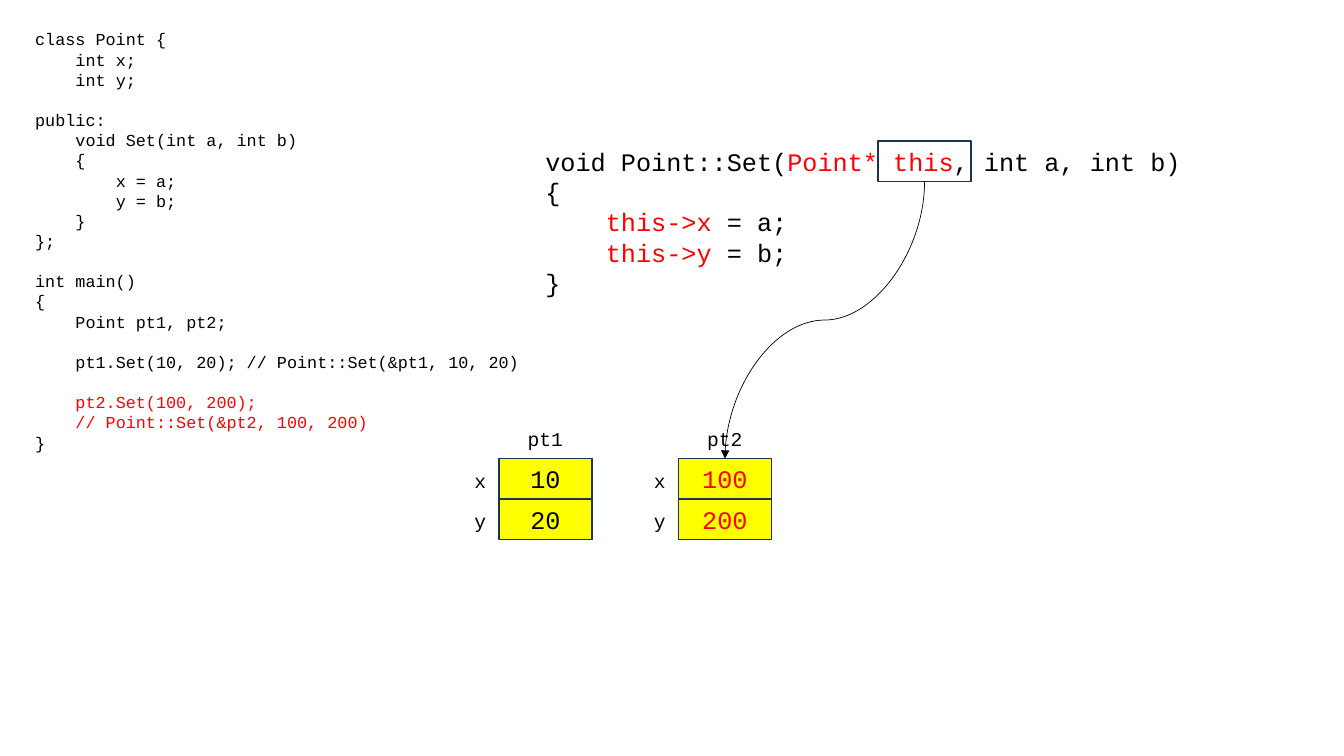
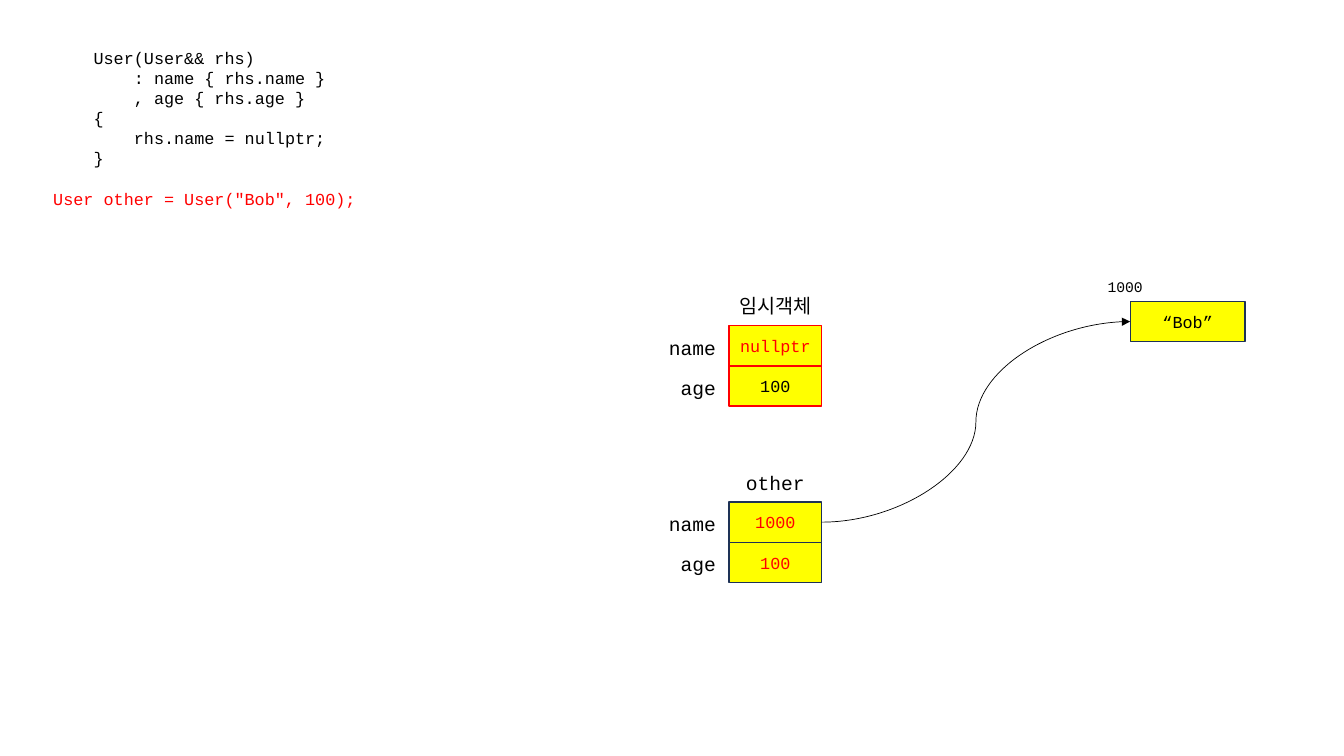
from dataclasses import dataclass

from lxml.etree import SubElement as add_sub
from pptx import Presentation
from pptx.dml.color import RGBColor
from pptx.enum.shapes import MSO_CONNECTOR as Link, MSO_SHAPE as Form
from pptx.enum.text import MSO_ANCHOR as Anchor, PP_ALIGN as Align
from pptx.oxml.ns import qn
from pptx.shapes.autoshape import Shape
from pptx.slide import Slide
from pptx.util import Inches, Pt

BLACK = RGBColor(0x00, 0x00, 0x00)
RED = RGBColor(0xFF, 0x00, 0x00)
YELLOW = RGBColor(0xFF, 0xFF, 0x00)
NAVY = RGBColor(0x1E, 0x32, 0x56)

FONT = "Courier New"
LEADING = 1.2
TAB_CHARS = 4
CHAR_RATIO = 0.6
CELL_W, CELL_H = 0.92, 0.4
LABEL_W, LABEL_H = 0.82, 0.34
TITLE_W = 1.1


@dataclass(frozen=True)
class Line:
    text: str
    depth: int = 0
    color: RGBColor = BLACK
    gap: bool = False
    red: str = ""
    tail: str = ""


@dataclass(frozen=True)
class Field:
    name: str
    value: str
    color: RGBColor = BLACK


@dataclass(frozen=True)
class Record:
    title: str
    left: float
    top: float
    fields: tuple[Field, ...]
    size: float
    edge: RGBColor = NAVY


POINT_CODE = (
    Line("class Point {"),
    Line("int x;", 1),
    Line("int y;", 1),
    Line("public:", gap=True),
    Line("void Set(int a, int b)", 1),
    Line("{", 1),
    Line("x = a;", 2),
    Line("y = b;", 2),
    Line("}", 1),
    Line("};"),
    Line("int main()", gap=True),
    Line("{"),
    Line("Point pt1, pt2;", 1),
    Line("pt1.Set(10, 20); // Point::Set(&pt1, 10, 20)", 1, gap=True),
    Line("pt2.Set(100, 200);", 1, RED, gap=True),
    Line("// Point::Set(&pt2, 100, 200)", 1, RED),
    Line("}"),
)
SET_CODE = (
    Line("void Point::Set(", 1, red="Point* this", tail=", int a, int b)"),
    Line("{", 1),
    Line("", 2, red="this->x", tail=" = a;"),
    Line("", 2, red="this->y", tail=" = b;"),
    Line("}", 1),
)
MOVE_CODE = (
    Line("User(User&& rhs)", 1),
    Line(": name { rhs.name }", 2),
    Line(", age { rhs.age }", 2),
    Line("{", 1),
    Line("rhs.name = nullptr;", 2),
    Line("}", 1),
    Line('User other = User("Bob", 100);', color=RED, gap=True),
)

POINTS = (
    Record("pt1", 4.95, 4.55, (Field("x", "10"), Field("y", "20")), 18),
    Record("pt2", 6.73, 4.55,
           (Field("x", "100", RED), Field("y", "200", RED)), 18),
)
USERS = (
    Record("임시객체", 7.23, 3.23,
           (Field("name", "nullptr", RED), Field("age", "100")), 12, RED),
    Record("other", 7.23, 4.98,
           (Field("name", "1000", RED), Field("age", "100", RED)), 12),
)


def write(shape: Shape, lines: tuple[Line, ...], size: float,
          align: Align = Align.LEFT) -> None:
    frame = shape.text_frame
    frame.word_wrap = True
    for i, line in enumerate(lines):
        para = frame.add_paragraph() if i else frame.paragraphs[0]
        para.alignment = align
        para.line_spacing = Pt(size * LEADING)
        para.font.name = FONT
        para.font.size = Pt(size)
        para.font.color.rgb = line.color
        if line.gap:
            para.space_before = Pt(size * LEADING)
        if line.depth:
            indent = Pt(line.depth * TAB_CHARS * CHAR_RATIO * size)
            props = para._p.get_or_add_pPr()
            props.set("marL", str(indent))
            props.set("indent", "0")
        for text, color in ((line.text, None), (line.red, RED), (line.tail, None)):
            if text:
                run = para.add_run()
                run.text = text
                if color is not None:
                    run.font.color.rgb = color


def add_text(slide: Slide, left: float, top: float, width: float, height: float,
             lines: tuple[Line, ...], size: float,
             align: Align = Align.LEFT) -> None:
    box = slide.shapes.add_textbox(
        Inches(left), Inches(top), Inches(width), Inches(height))
    write(box, lines, size, align)


def add_box(slide: Slide, left: float, top: float, width: float = CELL_W,
            edge: RGBColor = NAVY, fill: RGBColor | None = YELLOW) -> Shape:
    box = slide.shapes.add_shape(
        Form.RECTANGLE, Inches(left), Inches(top), Inches(width), Inches(CELL_H))
    box.shadow.inherit = False
    box.line.color.rgb = edge
    box.line.width = Pt(1)
    if fill is None:
        box.fill.background()
    else:
        box.fill.solid()
        box.fill.fore_color.rgb = fill
    box.text_frame.vertical_anchor = Anchor.MIDDLE
    return box


def add_record(slide: Slide, rec: Record) -> None:
    for i, field in enumerate(rec.fields):
        top = rec.top + i * CELL_H
        cell = add_box(slide, rec.left, top, edge=rec.edge)
        write(cell, (Line(field.value, color=field.color),), rec.size, Align.CENTER)
        add_text(slide, rec.left - 0.03 - LABEL_W, top + 0.05, LABEL_W, LABEL_H,
                 (Line(field.name),), 14, Align.RIGHT)
    add_text(slide, rec.left + (CELL_W - TITLE_W) / 2, rec.top - 0.36,
             TITLE_W, LABEL_H, (Line(rec.title),), 14, Align.CENTER)


def add_curve(slide: Slide, start: tuple[float, float], end: tuple[float, float],
              down: bool = False) -> None:
    (x1, y1), (x2, y2) = start, end
    if down:
        mid_x, mid_y = (x1 + x2) / 2, (y1 + y2) / 2
        half_w, half_h = (y2 - y1) / 2, (x1 - x2) / 2
        x1, y1 = mid_x - half_w, mid_y - half_h
        x2, y2 = mid_x + half_w, mid_y + half_h
    curve = slide.shapes.add_connector(
        Link.CURVE, Inches(x1), Inches(y1), Inches(x2), Inches(y2))
    curve.line.color.rgb = BLACK
    curve.line.width = Pt(0.5)
    props = curve._element.spPr
    if down:
        props.find(qn("a:xfrm")).set("rot", str(90 * 60000))
    add_sub(props.find(qn("a:ln")), qn("a:tailEnd"), type="triangle")
    add_sub(props, qn("a:effectLst"))


def draw_point(slide: Slide) -> None:
    add_text(slide, 0.25, 0.24, 5.15, 4.34, POINT_CODE, 12)
    for rec in POINTS:
        add_record(slide, rec)
    add_text(slide, 4.71, 1.4, 7.41, 1.62, SET_CODE, 18)
    left, top = 8.71, 1.4
    add_box(slide, left, top, fill=None)
    goal = POINTS[1]
    add_curve(slide, (left + CELL_W / 2, top + CELL_H),
              (goal.left + CELL_W / 2, goal.top), down=True)


def draw_move(slide: Slide) -> None:
    add_text(slide, 0.43, 0.42, 6.67, 1.72, MOVE_CODE, 12)
    for rec in USERS:
        add_record(slide, rec)
    left, top = 11.21, 2.99
    bob = add_box(slide, left, top, 1.14)
    write(bob, (Line("“Bob”"),), 12, Align.CENTER)
    add_text(slide, 10.76, 2.71, 0.8, 0.29, (Line("1000"),), 10.5, Align.CENTER)
    other = USERS[1]
    add_curve(slide, (other.left + CELL_W, other.top + CELL_H / 2),
              (left, top + CELL_H / 2))


def main() -> None:
    deck = Presentation()
    deck.slide_width, deck.slide_height = Inches(13.33), Inches(7.5)
    blank = deck.slide_layouts[6]
    for draw in (draw_point, draw_move):
        draw(deck.slides.add_slide(blank))
    deck.save("out.pptx")


if __name__ == "__main__":
    main()
